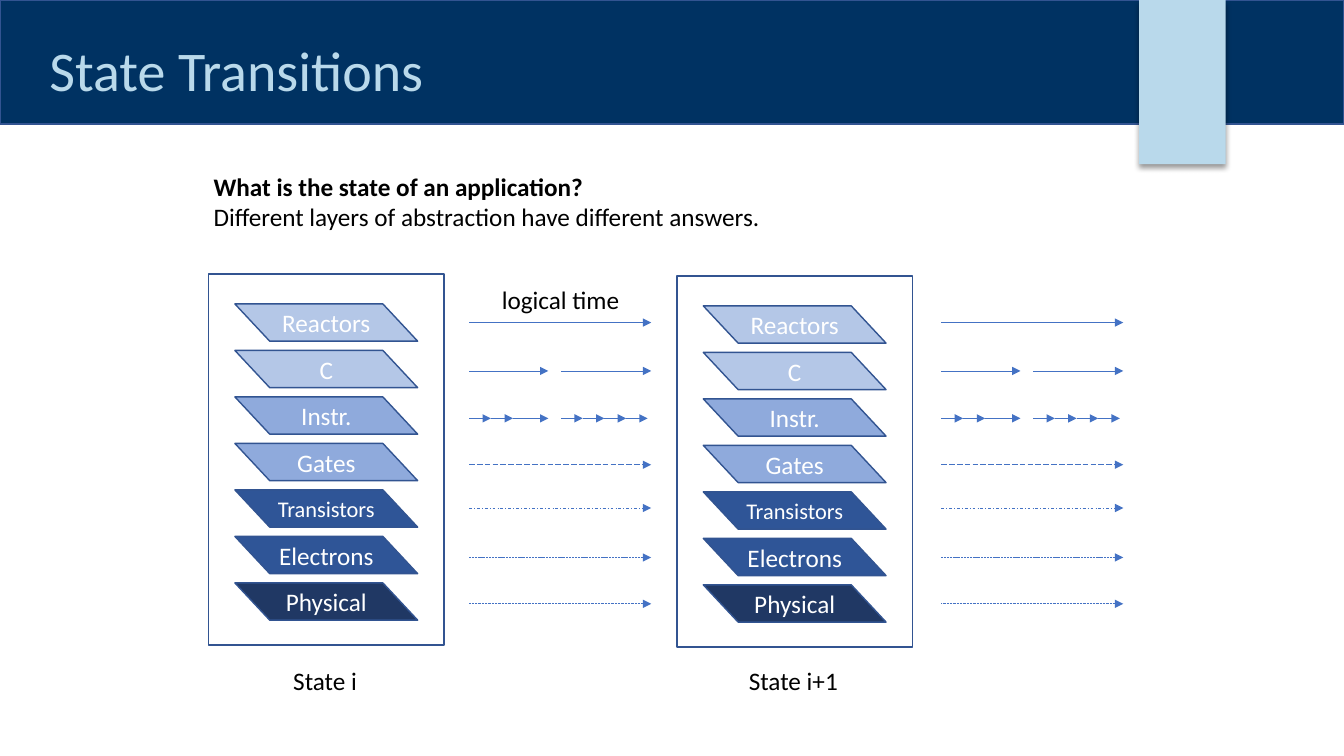
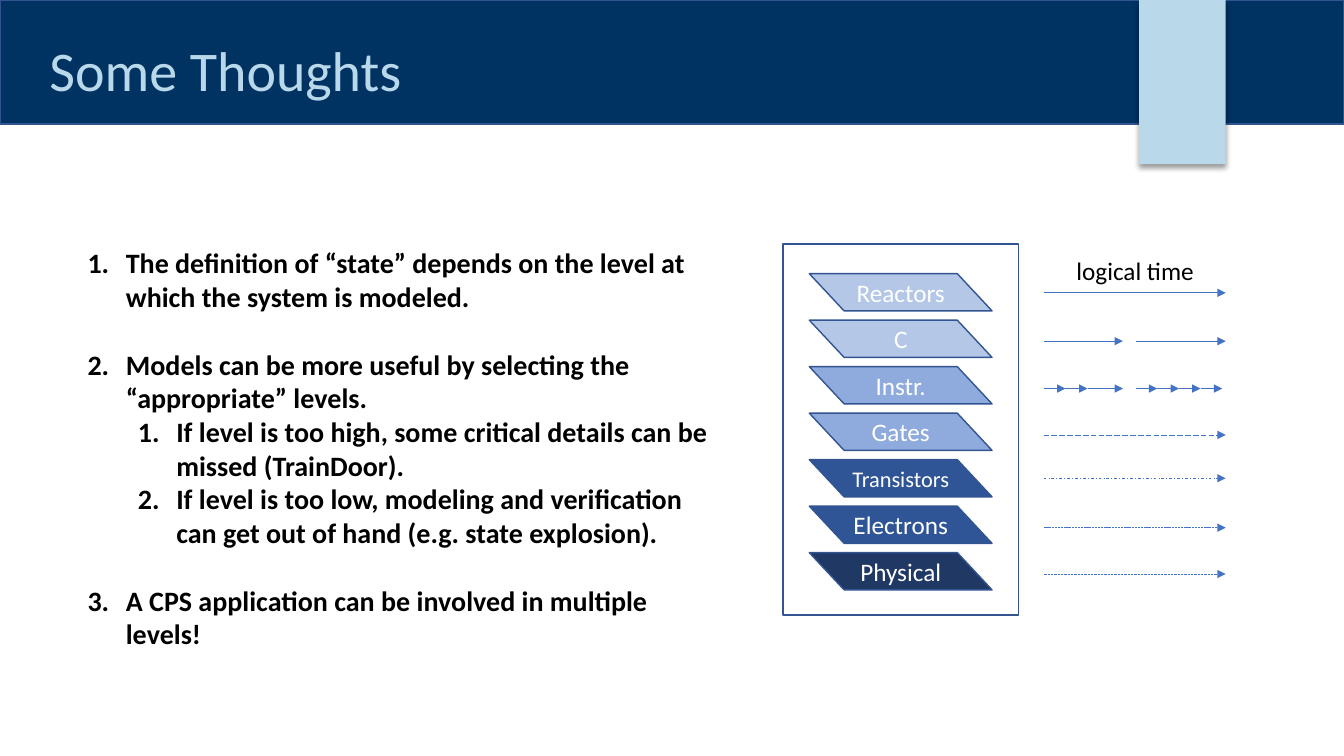
from itertools import pairwise

from lxml import etree
from pptx import Presentation
from pptx.dml.color import RGBColor
from pptx.enum.dml import MSO_LINE
from pptx.enum.shapes import MSO_CONNECTOR, MSO_SHAPE
from pptx.enum.text import MSO_ANCHOR, MSO_AUTO_SIZE, PP_ALIGN
from pptx.oxml.ns import qn
from pptx.util import Inches, Pt

RECT = MSO_SHAPE.RECTANGLE
SLANT = MSO_SHAPE.PARALLELOGRAM
STRAIGHT = MSO_CONNECTOR.STRAIGHT
LEFT, CENTER = PP_ALIGN.LEFT, PP_ALIGN.CENTER
BOTTOM, MIDDLE = MSO_ANCHOR.BOTTOM, MSO_ANCHOR.MIDDLE
FIT_SHAPE, NO_FIT = MSO_AUTO_SIZE.SHAPE_TO_FIT_TEXT, MSO_AUTO_SIZE.NONE
LONG_DASH, DASH_DOT = MSO_LINE.LONG_DASH, MSO_LINE.DASH_DOT
SYS_DASH, SYS_DOT = MSO_LINE.SQUARE_DOT, MSO_LINE.ROUND_DOT

SLIDE_W, SLIDE_H = Inches(13.33), Inches(7.5)
TITLE_ONLY = 5
FONT = "Calibri"
NAVY, SKY, OUTLINE, ARROW = "003262", "B9D9EB", "325491", "4472C4"
BLACK, WHITE = "000000", "FFFFFF"

FRAME_W, FRAME_H = 17.5, 49.07
LAYER_X, LAYER_Y, LAYER_W, LAYER_H, LAYER_PITCH = 1.95, 3.93, 13.6, 4.93, 6.15
LABEL_H = 5.33
LAYERS = [
    ("Reactors", "B4C7E7", 18),
    ("C", "B4C7E7", 18),
    ("Instr.", "8FAADC", 18),
    ("Gates", "8FAADC", 18),
    ("Transistors", "2F5597", 16),
    ("Electrons", "2F5597", 18),
    ("Physical", "203864", 18),
]

SPAN = 13.55
FIRST_END, SECOND_START = 5.9, 6.85
INSTR_STEP = 1.61
FULL = [(0, SPAN)]
ARROW_ROWS = [
    (0, FULL, None),
    (6.4, [(0, FIRST_END), (SECOND_START, SPAN)], None),
    (12.67, [(0, 1.63, 3.27, FIRST_END),
             [SECOND_START + i * INSTR_STEP for i in range(5)]], None),
    (18.8, FULL, LONG_DASH),
    (24.53, FULL, DASH_DOT),
    (31.07, FULL, SYS_DASH),
    (37.2, FULL, SYS_DOT),
]

THOUGHTS = [
    (0, 0, "The definition of “state” depends on the level at which the system is modeled."),
    (0, 24.4, "Models can be more useful by selecting the “appropriate” levels."),
    (1, 0, "If level is too high, some critical details can be missed (TrainDoor)."),
    (1, 0, "If level is too low, modeling and verification can get out of hand "
           "(e.g. state explosion)."),
    (0, 24.4, "A CPS application can be involved in multiple levels!"),
]


def rgb(value):
    return RGBColor.from_string(value)


def wide(percent):
    return round(SLIDE_W * percent / 100)


def high(percent):
    return round(SLIDE_H * percent / 100)


def box(left, top, width, height):
    return wide(left), high(top), wide(width), high(height)


def add_run(p, text, size, color=BLACK, bold=False):
    r = p.add_run()
    r.text = text
    r.font.name = FONT
    r.font.size = Pt(size)
    r.font.bold = bold
    r.font.color.rgb = rgb(color)


def add_block(shapes, kind, place, fill=None, line=OUTLINE):
    sp = shapes.add_shape(kind, *box(*place))
    sp.shadow.inherit = False
    if fill:
        sp.fill.solid()
        sp.fill.fore_color.rgb = rgb(fill)
    else:
        sp.fill.background()
    if line:
        sp.line.color.rgb = rgb(line)
        sp.line.width = Pt(1)
    else:
        sp.line.fill.background()
    return sp


def add_drop_shadow(sp):
    effects = sp._element.spPr.find(qn("a:effectLst"))
    shadow = etree.SubElement(effects, qn("a:outerShdw"), blurRad=str(Pt(4)),
                              dist=str(Pt(3)), dir="5400000", algn="t", rotWithShape="0")
    color = etree.SubElement(shadow, qn("a:srgbClr"), val=BLACK)
    etree.SubElement(color, qn("a:alpha"), val="40000")


def add_text(shapes, place, wrap=False):
    tf = shapes.add_textbox(*box(*place)).text_frame
    tf.word_wrap = wrap
    tf.auto_size = FIT_SHAPE
    return tf


def add_label(shapes, left, top, width, text):
    tf = add_text(shapes, (left, top, width, LABEL_H))
    add_run(tf.paragraphs[0], text, 18)


def add_arrow(shapes, x1, x2, y, dash):
    c = shapes.add_connector(STRAIGHT, wide(x1), high(y), wide(x2), high(y))
    c.line.color.rgb = rgb(ARROW)
    c.line.width = Pt(0.5)
    if dash:
        c.line.dash_style = dash
    etree.SubElement(c.line._get_or_add_ln(), qn("a:tailEnd"), type="triangle")
    etree.SubElement(c._element.spPr, qn("a:effectLst"))


def add_layer_stack(s, left, top):
    shapes = s.shapes.add_group_shape().shapes
    for i, (name, fill, size) in enumerate(LAYERS):
        place = (left + LAYER_X, top + LAYER_Y + i * LAYER_PITCH, LAYER_W, LAYER_H)
        sp = add_block(shapes, SLANT, place, fill)
        sp.adjustments[0] = 0.934
        sp._element.spPr.xfrm.set("flipH", "1")
        tf = sp.text_frame
        tf.vertical_anchor = MIDDLE
        p = tf.paragraphs[0]
        p.alignment = CENTER
        add_run(p, name, size, WHITE)
    add_block(shapes, RECT, (left, top, FRAME_W, FRAME_H))


def add_time_arrows(s, left, top):
    shapes = s.shapes.add_group_shape().shapes
    for offset, chains, dash in ARROW_ROWS:
        for stops in chains:
            for start, end in pairwise(stops):
                add_arrow(shapes, left + start, left + end, top + offset, dash)


def add_numbered(tf, items):
    for i, (level, gap, text) in enumerate(items):
        p = tf.paragraphs[0] if i == 0 else tf.add_paragraph()
        p.level = level
        p.space_before = Pt(gap)
        pPr = p._p.get_or_add_pPr()
        pPr.set("marL", str(Inches(0.38 + 0.5 * level)))
        pPr.set("indent", str(-Inches(0.38)))
        etree.SubElement(pPr, qn("a:buFont"), typeface="+mj-lt")
        etree.SubElement(pPr, qn("a:buAutoNum"), type="arabicPeriod")
        add_run(p, text, 20, bold=True)


def add_titled_slide(prs, title):
    s = prs.slides.add_slide(prs.slide_layouts[TITLE_ONLY])
    band = add_block(s.shapes, RECT, (0, 0, 100, 16.4), NAVY)
    sp = s.shapes.title
    sp._element.addprevious(band._element)
    sp.left, sp.top, sp.width, sp.height = box(2.93, 2, 78.83, 12.4)
    tf = sp.text_frame
    tf.vertical_anchor = BOTTOM
    tf.auto_size = NO_FIT
    p = tf.paragraphs[0]
    p.alignment = LEFT
    p.line_spacing = 0.9
    add_run(p, title, 40, SKY)
    ribbon = add_block(s.shapes, RECT, (84.75, 0, 6.45, 21.73), SKY, None)
    add_drop_shadow(ribbon)
    return s


def add_transitions_slide(prs):
    s = add_titled_slide(prs, "State Transitions")
    add_layer_stack(s, 15.53, 36.27)
    add_layer_stack(s, 50.38, 36.53)
    for left in (34.9, 70.03):
        add_time_arrows(s, left, 42.67)
    add_label(s.shapes, 36.6, 36.93, 10.28, "logical time")
    add_label(s.shapes, 21.08, 87.33, 6.3, "State i")
    add_label(s.shapes, 54.98, 87.33, 8.18, "State i+1")
    tf = add_text(s.shapes, (15.15, 22, 42.68, 9.47))
    add_run(tf.paragraphs[0], "What is the state of an application?", 18, bold=True)
    add_run(tf.add_paragraph(),
            "Different layers of abstraction have different answers.", 18)


def add_thoughts_slide(prs):
    s = add_titled_slide(prs, "Some Thoughts")
    add_layer_stack(s, 58.27, 32.27)
    add_time_arrows(s, 77.65, 38.73)
    add_label(s.shapes, 79.35, 33.07, 10.28, "logical time")
    tf = add_text(s.shapes, (5.78, 31.87, 48.45, 50.67), wrap=True)
    add_numbered(tf, THOUGHTS)


def main():
    prs = Presentation()
    prs.slide_width, prs.slide_height = SLIDE_W, SLIDE_H
    add_transitions_slide(prs)
    add_thoughts_slide(prs)
    prs.save("out.pptx")


if __name__ == "__main__":
    main()
